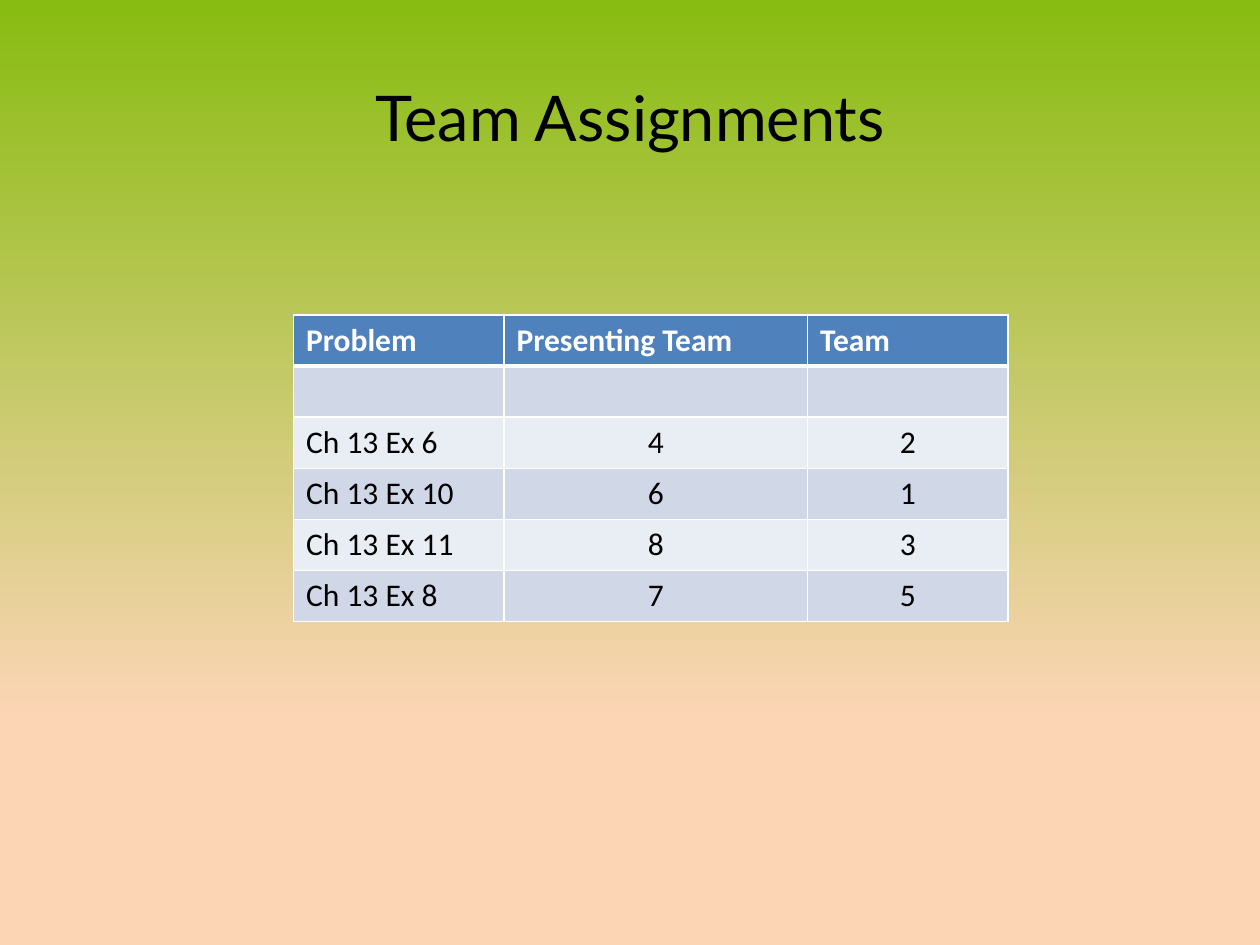
from typing import NamedTuple

from lxml.etree import SubElement
from pptx import Presentation
from pptx.dml.color import RGBColor
from pptx.enum.text import MSO_ANCHOR, PP_ALIGN
from pptx.oxml.ns import qn
from pptx.util import Inches, Pt

BLACK = RGBColor(0x00, 0x00, 0x00)
WHITE = RGBColor(0xFF, 0xFF, 0xFF)
GREEN = RGBColor(0x87, 0xBC, 0x10)
PEACH = RGBColor(0xFC, 0xD5, 0xB5)
HEADER_BLUE = RGBColor(0x4F, 0x81, 0xBD)
DARK_BAND = RGBColor(0xD0, 0xD8, 0xE8)
LIGHT_BAND = RGBColor(0xE9, 0xED, 0xF4)


class Assignment(NamedTuple):
    problem: str
    presenting_team: str
    team: str


HEADER = Assignment("Problem", "Presenting Team", "Team")
ASSIGNMENTS = [
    Assignment("", "", ""),
    Assignment("Ch 13 Ex 6", "4", "2"),
    Assignment("Ch 13 Ex 10", "6", "1"),
    Assignment("Ch 13 Ex 11", "8", "3"),
    Assignment("Ch 13 Ex 8", "7", "5"),
]
COLUMN_WIDTHS = [1.67, 2.41, 1.59]
ROW_HEIGHT = 0.405


def paint_background(page) -> None:
    fill = page.background.fill
    fill.gradient()
    fill.gradient_angle = 90
    for stop, position, color in zip(fill.gradient_stops, (0.24, 1), (PEACH, GREEN)):
        stop.position = position
        stop.color.rgb = color


def add_title(page, text: str) -> None:
    title = page.shapes.title
    title.left, title.top = Inches(0.5), Inches(0.3)
    title.width, title.height = Inches(9), Inches(1.25)
    title.text_frame.text = text
    title.text_frame.vertical_anchor = MSO_ANCHOR.MIDDLE
    para = title.text_frame.paragraphs[0]
    para.alignment = PP_ALIGN.CENTER
    para.font.name, para.font.size = "Lato", Pt(36)
    para.font.color.rgb = BLACK


def set_borders(cell, top: float, bottom: float) -> None:
    """Draw white borders, 1 pt at the sides; they must precede the cell's fill."""
    properties = cell._tc.get_or_add_tcPr()
    widths = {"a:lnL": 1, "a:lnR": 1, "a:lnT": top, "a:lnB": bottom}
    for index, (tag, width) in enumerate(widths.items()):
        line = SubElement(properties, qn(tag), w=str(Pt(width)))
        solid = SubElement(line, qn("a:solidFill"))
        SubElement(solid, qn("a:srgbClr"), val=str(WHITE))
        properties.insert(index, line)


def fill_row(cells, texts: Assignment, row: int) -> None:
    is_header = row == 0
    band = HEADER_BLUE if is_header else DARK_BAND if row % 2 else LIGHT_BAND
    for column, (cell, text) in enumerate(zip(cells, texts)):
        cell.fill.solid()
        cell.fill.fore_color.rgb = band
        set_borders(cell, top=3 if row == 1 else 1, bottom=3 if is_header else 1)
        cell.text = text
        para = cell.text_frame.paragraphs[0]
        centred = column > 0 and not is_header
        para.alignment = PP_ALIGN.CENTER if centred else PP_ALIGN.LEFT
        para.font.name, para.font.size = "Calibri", Pt(18)
        para.font.bold = is_header
        para.font.color.rgb = WHITE if is_header else BLACK


def add_assignment_table(page) -> None:
    rows = [HEADER, *ASSIGNMENTS]
    table = page.shapes.add_table(
        len(rows), len(COLUMN_WIDTHS), Inches(2.33), Inches(2.5),
        Inches(sum(COLUMN_WIDTHS)), Inches(ROW_HEIGHT * len(rows)),
    ).table
    for column, width in zip(table.columns, COLUMN_WIDTHS):
        column.width = Inches(width)
    for index, (row, texts) in enumerate(zip(table.rows, rows)):
        fill_row(row.cells, texts, index)


def main() -> None:
    deck = Presentation()
    deck.slide_width, deck.slide_height = Inches(10), Inches(7.5)
    title_only = deck.slide_layouts[5]
    page = deck.slides.add_slide(title_only)
    paint_background(page)
    add_title(page, "Team Assignments")
    add_assignment_table(page)
    deck.save("out.pptx")


if __name__ == "__main__":
    main()
